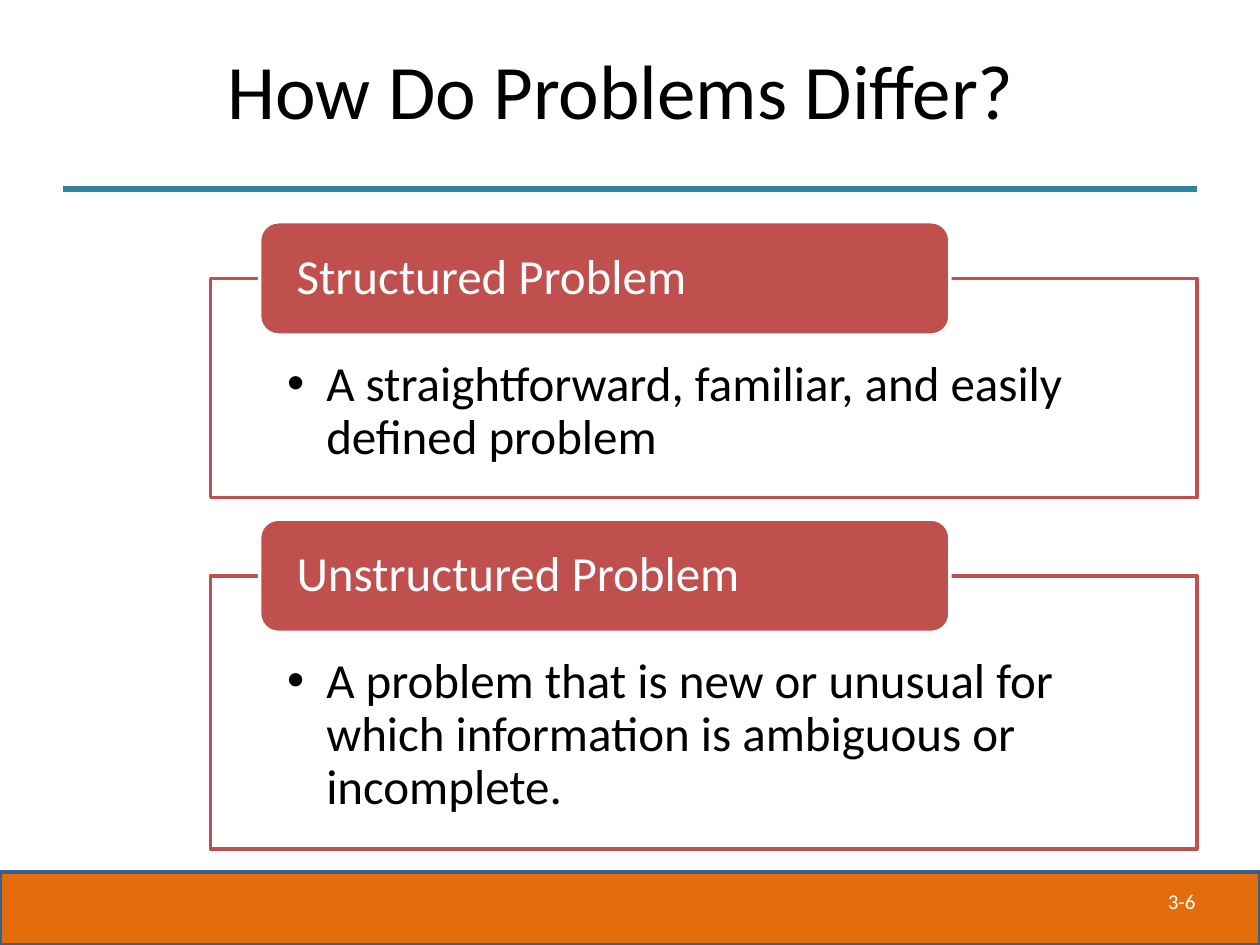
from lxml.etree import SubElement
from pptx import Presentation
from pptx.dml.color import RGBColor
from pptx.enum.shapes import MSO_CONNECTOR as Connector, MSO_SHAPE as Shape
from pptx.enum.text import MSO_ANCHOR as Anchor, PP_ALIGN as Align
from pptx.oxml.ns import qn
from pptx.util import Inches, Pt

RED, WHITE, BLACK = "C0504D", "FFFFFF", "000000"


def paint(color_format, value):
    color_format.rgb = RGBColor.from_string(value)


def write(box, text, size, color, align=Align.LEFT, anchor=Anchor.TOP,
          insets=(0.1, 0.05, 0.1, 0.05), wrap=True, spacing=1.0, bullet=False):
    """Put one paragraph in a box; insets are left, top, right, bottom in inches."""
    frame = box.text_frame
    frame.word_wrap = wrap
    frame.vertical_anchor = anchor
    for side, inset in zip(("left", "top", "right", "bottom"), insets):
        setattr(frame, f"margin_{side}", Inches(inset))
    para = frame.paragraphs[0]
    para.alignment = align
    para.line_spacing = spacing
    if bullet:
        properties = para._p.get_or_add_pPr()
        properties.set("marL", str(Inches(0.31)))
        properties.set("indent", str(Inches(-0.31)))
        SubElement(properties, qn("a:buFont"), typeface="Arial")
        SubElement(properties, qn("a:buChar"), char="•")
    span = para.add_run()
    span.text = text
    for name, value in {"name": "Calibri", "size": Pt(size)}.items():
        setattr(span.font, name, value)
    paint(span.font.color, color)


deck = Presentation()
deck.slide_width, deck.slide_height = Inches(10), Inches(7.5)
page = deck.slides.add_slide(deck.slide_layouts[6])
shapes = page.shapes

# Footer band, then one outlined panel and one overlapping label per problem
PANEL_LEFT, PANEL_WIDTH = 1.67, 7.83
LABEL_LEFT, LABEL_WIDTH, LABEL_HEIGHT = 2.06, 5.48, 0.9
problems = [
    ("Structured Problem", 2.21, 1.74,
     "A straightforward, familiar, and easily defined problem"),
    ("Unstructured Problem", 4.57, 2.17,
     "A problem that is new or unusual for which information is ambiguous or incomplete."),
]
blocks = [(Shape.RECTANGLE, (0, 6.92, 10, 0.58), "E46C0A", "3A5F8C", None)]
for label, top, height, definition in problems:
    blocks.append((
        Shape.RECTANGLE, (PANEL_LEFT, top, PANEL_WIDTH, height), WHITE, RED,
        dict(text=definition, size=28, color=BLACK, spacing=0.9, bullet=True,
             insets=(0.61, 0.64, 0.61, 0.22))))
    blocks.append((
        Shape.ROUNDED_RECTANGLE,
        (LABEL_LEFT, top - LABEL_HEIGHT / 2, LABEL_WIDTH, LABEL_HEIGHT), RED, WHITE,
        dict(text=label, size=28, color=WHITE, spacing=0.9, anchor=Anchor.MIDDLE,
             insets=(0.25, 0, 0.25, 0))))

for kind, place, fill, line, content in blocks:
    block = shapes.add_shape(kind, *map(Inches, place))
    block.shadow.inherit = False
    block.fill.solid()
    paint(block.fill.fore_color, fill)
    paint(block.line.color, line)
    block.line.width = Pt(2)
    if content:
        write(block, **content)

# Title, rule and page number
title = shapes.add_textbox(*map(Inches, (0.5, 0.08, 9, 1.25)))
write(title, "How Do Problems Differ? ", 44, BLACK, Align.CENTER, Anchor.MIDDLE)

rule = shapes.add_connector(Connector.STRAIGHT, *map(Inches, (0.5, 1.5, 9.5, 1.5)))
paint(rule.line.color, "31859C")
rule.line.width = Pt(3.5)
SubElement(rule._element.spPr, qn("a:effectLst"))

number = shapes.add_textbox(*map(Inches, (9.17, 7, 0.53, 0.3)))
write(number, "3-6", 12, WHITE, wrap=False)

deck.save("out.pptx")
